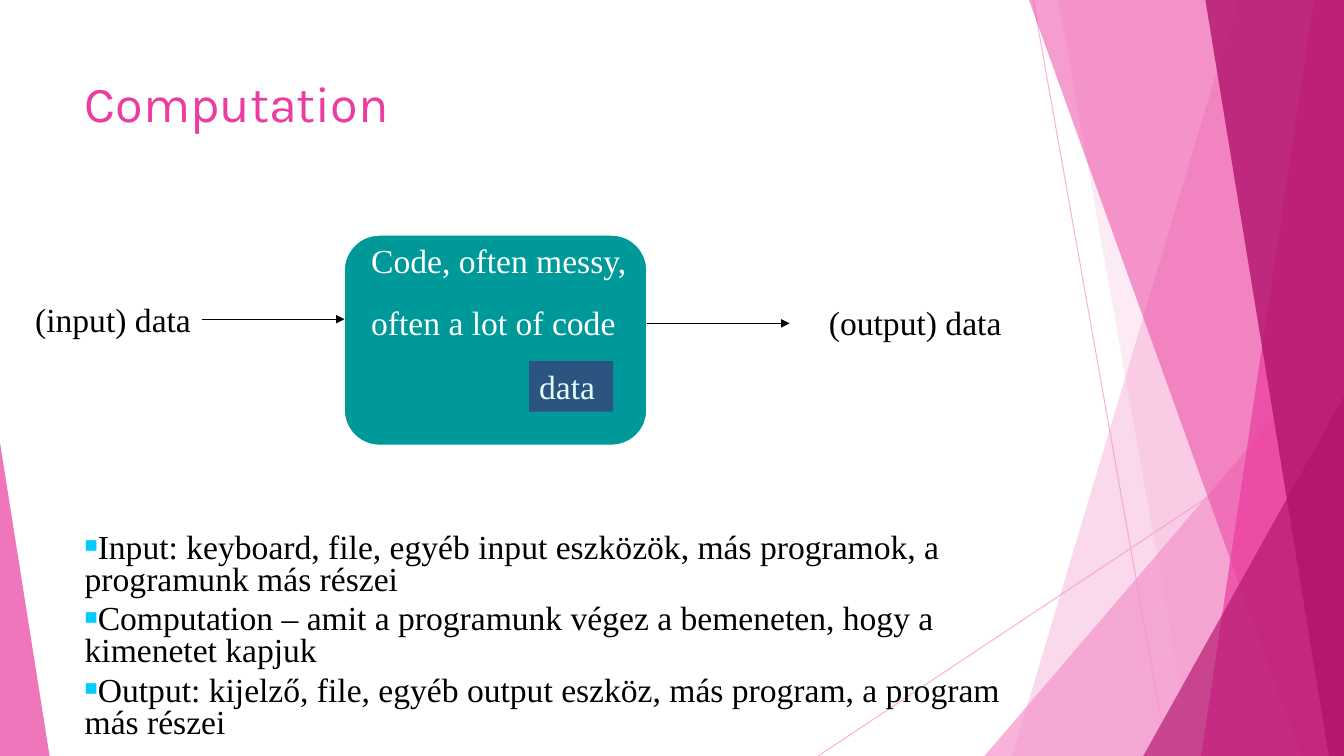
from dataclasses import dataclass

from lxml import etree
from pptx import Presentation
from pptx.dml.color import RGBColor
from pptx.enum.shapes import MSO_CONNECTOR, MSO_SHAPE
from pptx.enum.text import MSO_ANCHOR
from pptx.oxml.ns import qn
from pptx.util import Emu, Inches, Pt

STRAIGHT = MSO_CONNECTOR.STRAIGHT
RECTANGLE, ROUNDED = MSO_SHAPE.RECTANGLE, MSO_SHAPE.ROUNDED_RECTANGLE
TOP = MSO_ANCHOR.TOP

BLACK = RGBColor(0x00, 0x00, 0x00)
WHITE = RGBColor(0xFF, 0xFF, 0xFF)
LIGHT_PINK = RGBColor(0xF4, 0x96, 0xCB)
PINK = RGBColor(0xEB, 0x3D, 0x9F)
MAGENTA = RGBColor(0xB2, 0x13, 0x6D)
TEAL = RGBColor(0x00, 0x99, 0x99)
NAVY = RGBColor(0x2B, 0x54, 0x81)
PALE_CYAN = RGBColor(0xE5, 0xFF, 0xFF)
BULLET_BLUE = RGBColor(0x00, 0xCC, 0xFF)

SERIF, SANS = "Times New Roman", "Karla"

# The slide is a grid of square cells; every length below counts cells.
COLUMNS, ROWS = 160, 90
CELL = Inches(7.5) / ROWS
MARGIN, TEXT_WIDTH = 8.9, 112.8


@dataclass(frozen=True)
class Facet:
    """A translucent polygon of the background."""
    points: tuple
    color: RGBColor
    opacity: int


@dataclass(frozen=True)
class Line:
    """A straight line from start to end."""
    start: tuple
    end: tuple
    color: RGBColor = BLACK
    width: float = 0.74
    opacity: int = 100
    arrow: bool = False


@dataclass(frozen=True)
class Panel:
    """A filled preset shape; area is left, top, width, height."""
    area: tuple
    kind: int
    fill: RGBColor
    outline: RGBColor | None = None


def band(top_left: float, bottom_left: float) -> tuple:
    """Return a full-height polygon reaching the right edge."""
    return (top_left, 0), (COLUMNS, 0), (COLUMNS, ROWS), (bottom_left, ROWS)


def corner(bottom_left: float, top_right: float) -> tuple:
    """Return a triangle in the bottom right corner."""
    return (bottom_left, ROWS), (COLUMNS, top_right), (COLUMNS, ROWS)


FACETS = (
    Facet(band(147.4, 120.5), LIGHT_PINK, 36),
    Facet(band(126, 142), LIGHT_PINK, 20),
    Facet(corner(117.2, 40), LIGHT_PINK, 72),
    Facet(band(122.5, 154.9), PINK, 50),
    Facet(band(156.4, 143), PINK, 70),
    Facet(band(143.5, 158.2), MAGENTA, 80),
    Facet(corner(136.1, 47.2), MAGENTA, 66),
    Facet(((0, ROWS), (0, 52.7), (5.9, ROWS)), PINK, 70),
)
RAYS = (
    Line((123, 0), (139, ROWS), LIGHT_PINK, 0.75, 70),
    Line((COLUMNS, 48.4), (97.4, ROWS), LIGHT_PINK, 0.75, 70),
)
ARROWS = (
    Line((24, 38), (41, 38), arrow=True),
    Line((77, 38.5), (94, 38.5), arrow=True),
)
CODE_PANEL = Panel((41, 28, 36, 25), ROUNDED, TEAL, WHITE)
DATA_PANEL = Panel((63, 43, 10, 6), RECTANGLE, NAVY)
EXPLANATIONS = (
    "Input: keyboard, file, egyéb input eszközök, más programok, a programunk más részei",
    "Computation – amit a programunk végez a bemeneten, hogy a kimenetet kapjuk",
    "Output: kijelző, file, egyéb output eszköz, más program, a program más részei",
)


def cells(*counts: float) -> list[Emu]:
    """Convert cell counts to lengths."""
    return [Emu(round(count * CELL)) for count in counts]


def set_opacity(item, percent: int) -> None:
    """Make the first solid colour of a shape translucent."""
    color = next(item._element.spPr.iter(qn("a:srgbClr")))
    etree.SubElement(color, qn("a:alpha"), val=str(percent * 1000))


def draw_facet(page, facet: Facet) -> None:
    """Draw one background polygon."""
    first, *others = [cells(*point) for point in facet.points]
    builder = page.shapes.build_freeform(*first, scale=1.0)
    builder.add_line_segments(others, close=True)
    shape = builder.convert_to_shape()
    shape.shadow.inherit = False
    shape.fill.solid()
    shape.fill.fore_color.rgb = facet.color
    shape.line.fill.background()
    set_opacity(shape, facet.opacity)


def draw_line(page, line: Line) -> None:
    """Draw a line, with an arrowhead at its end if asked."""
    connector = page.shapes.add_connector(
        STRAIGHT, *cells(*line.start), *cells(*line.end))
    connector.line.color.rgb = line.color
    connector.line.width = Pt(line.width)
    if line.opacity < 100:
        set_opacity(connector, line.opacity)
    if line.arrow:
        etree.SubElement(connector.line._get_or_add_ln(), qn("a:tailEnd"), type="triangle")
    etree.SubElement(connector._element.spPr, qn("a:effectLst"))


def draw_panel(page, panel: Panel):
    """Draw a filled shape and return it."""
    shape = page.shapes.add_shape(panel.kind, *cells(*panel.area))
    shape.shadow.inherit = False
    shape.fill.solid()
    shape.fill.fore_color.rgb = panel.fill
    if panel.outline is None:
        shape.line.fill.background()
    else:
        shape.line.color.rgb = panel.outline
        shape.line.width = Pt(0.74)
    return shape


def add_bullet(para) -> None:
    """Give a paragraph a small blue square without indent."""
    properties = para._p.get_or_add_pPr()
    properties.set("marL", "0")
    properties.set("indent", "0")
    color = etree.SubElement(properties, qn("a:buClr"))
    etree.SubElement(color, qn("a:srgbClr"), val=str(BULLET_BLUE))
    etree.SubElement(properties, qn("a:buSzPct"), val="65000")
    etree.SubElement(properties, qn("a:buFont"), typeface=SERIF)
    etree.SubElement(properties, qn("a:buChar"), char="■")


def write(box, *texts: str, font: str = SERIF, size: float = 24, color: RGBColor = BLACK,
          before: float = 0, spacing: float = 1.0, bullet: bool = False,
          wrap: bool = True) -> None:
    """Fill a box with one paragraph for each text."""
    frame = box.text_frame
    frame.word_wrap = wrap
    frame.vertical_anchor = TOP
    for index, text in enumerate(texts):
        para = frame.add_paragraph() if index else frame.paragraphs[0]
        para.line_spacing = spacing
        para.space_before = Pt(before)
        if bullet:
            add_bullet(para)
        span = para.add_run()
        span.text = text
        span.font.name, span.font.size = font, Pt(size)
        span.font.color.rgb = color


def main() -> None:
    """Build the slide and save it."""
    deck = Presentation()
    deck.slide_width, deck.slide_height = cells(COLUMNS, ROWS)
    page = deck.slides.add_slide(deck.slide_layouts[6])

    def text_box(*area: float):
        """Add an empty text box to the page."""
        return page.shapes.add_textbox(*cells(*area))

    for ray in RAYS:
        draw_line(page, ray)
    for facet in FACETS:
        draw_facet(page, facet)

    write(text_box(MARGIN, 8, TEXT_WIDTH, 17.3), "Computation", font=SANS, size=36, color=PINK)
    write(text_box(3, 35, 22, 6), "(input) data", before=15)
    draw_panel(page, CODE_PANEL)
    write(text_box(43, 28, 34, 13.3), "Code, often messy,", "often a lot of code",
          color=WHITE, before=15)
    data_box = draw_panel(page, DATA_PANEL)
    write(data_box, "data", color=PALE_CYAN)
    data_box.text_frame.paragraphs[0].alignment = 1
    for arrow in ARROWS:
        draw_line(page, arrow)
    write(text_box(97.5, 35.3, 23, 6), "(output) data", wrap=False)
    write(text_box(MARGIN, 62.9, TEXT_WIDTH, 31), *EXPLANATIONS,
          before=5, spacing=0.8, bullet=True)
    deck.save("out.pptx")


main()
